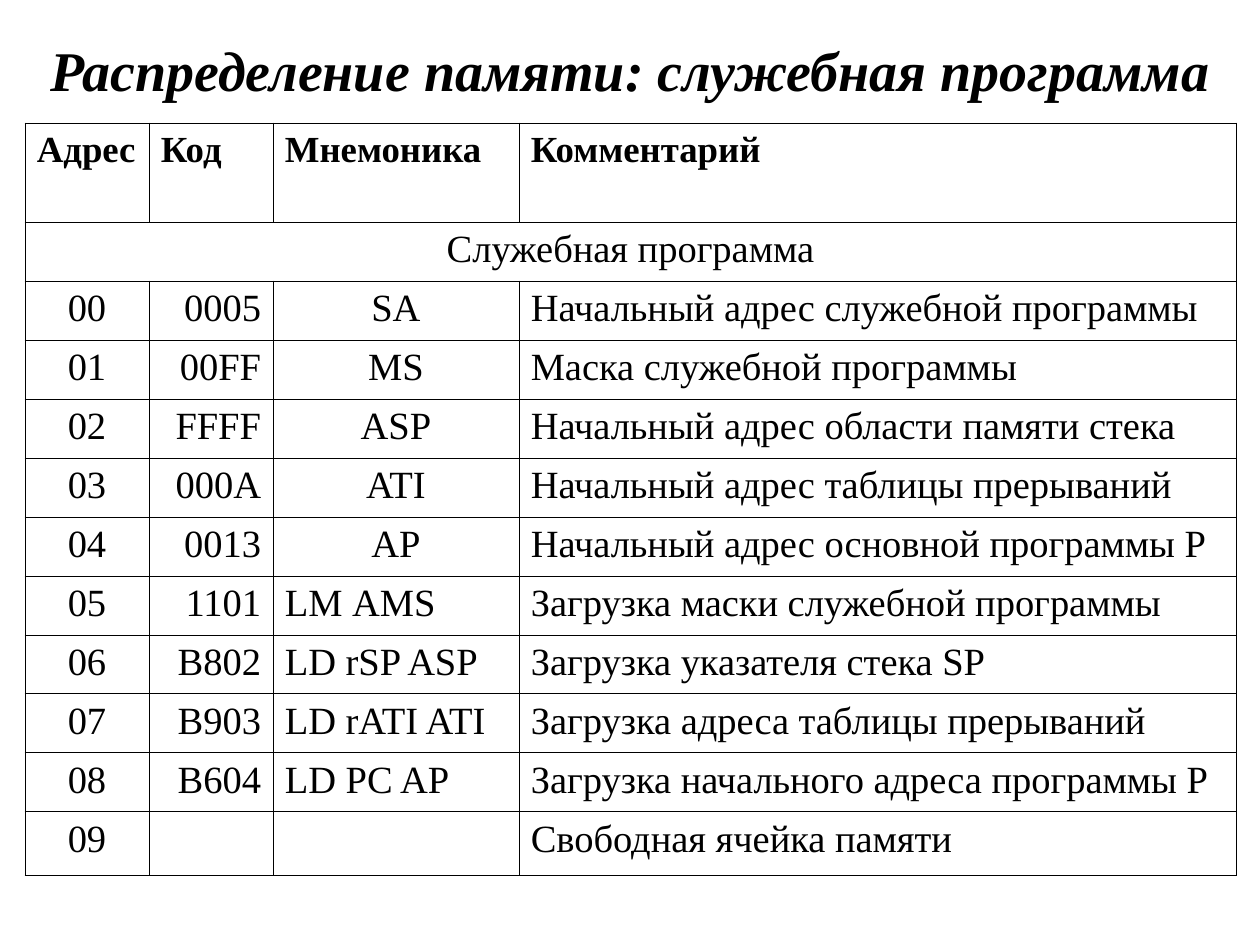
from lxml import etree
from pptx import Presentation
from pptx import util as u
from pptx.dml.color import RGBColor
from pptx.enum import text
from pptx.oxml import ns

PX = u.Inches(1) / 126
FONT = "Times New Roman"
BLACK = "000000"
ALIGN = text.PP_ALIGN
COLUMNS = [124, 124, 246, 717]
HEADER_HEIGHT, ROW_HEIGHT, LAST_HEIGHT = 99, 59, 64
HEADINGS = ["Адрес", "Код", "Мнемоника", "Комментарий"]
SECTION = "Служебная программа"
MEMORY = [
    ("00", "0005", "SA", "Начальный адрес служебной программы"),
    ("01", "00FF", "MS", "Маска служебной программы"),
    ("02", "FFFF", "ASP", "Начальный адрес области памяти стека"),
    ("03", "000A", "ATI", "Начальный адрес таблицы прерываний"),
    ("04", "0013", "AP", "Начальный адрес основной программы P"),
    ("05", "1101", "LM АМS", "Загрузка маски служебной программы"),
    ("06", "B802", "LD rSP ASP", "Загрузка указателя стека SP"),
    ("07", "B903", "LD rATI ATI", "Загрузка адреса таблицы прерываний"),
    ("08", "B604", "LD PC AP", "Загрузка начального адреса программы P"),
    ("09", "", "", "Свободная ячейка памяти"),
]


def px(length):
    return u.Emu(round(length * PX))


def color(value):
    return RGBColor.from_string(value)


def write(frame, content, alignment, **font):
    paragraph = frame.paragraphs[0]
    paragraph.alignment = alignment
    run = paragraph.add_run()
    run.text = content
    for name, value in {"name": FONT, **font}.items():
        setattr(run.font, name, value)
    run.font.color.rgb = color(BLACK)


def add_borders(cell):
    properties = cell._tc.get_or_add_tcPr()
    for index, side in enumerate(("lnL", "lnR", "lnT", "lnB")):
        line = etree.Element(ns.qn(f"a:{side}"), w=str(u.Pt(0.45)))
        fill = etree.SubElement(line, ns.qn("a:solidFill"))
        etree.SubElement(fill, ns.qn("a:srgbClr"), val=BLACK)
        properties.insert(index, line)


def place_title(slide, left, top, width, height):
    title = slide.shapes.title
    box = {"left": left, "top": top, "width": width, "height": height}
    for name, value in box.items():
        setattr(title, name, px(value))
    frame = title.text_frame
    frame.auto_size = text.MSO_AUTO_SIZE.NONE
    frame.vertical_anchor = text.MSO_ANCHOR.MIDDLE
    write(frame, "Распределение памяти: служебная программа", ALIGN.CENTER,
          size=u.Pt(32), bold=True, italic=True)


def place_memory_table(slide, left, top):
    heights = [HEADER_HEIGHT] + [ROW_HEIGHT] * len(MEMORY) + [LAST_HEIGHT]
    table = slide.shapes.add_table(len(heights), len(COLUMNS), px(left), px(top),
                                   px(sum(COLUMNS)), px(sum(heights))).table
    table.first_row = table.horz_banding = False
    for column, width in zip(table.columns, COLUMNS):
        column.width = px(width)
    for row, height in zip(table.rows, heights):
        row.height = px(height)
    for cell in table.iter_cells():
        cell.fill.background()
        cell.margin_left = cell.margin_right = px(12)
        add_borders(cell)

    for column, heading in enumerate(HEADINGS):
        write(table.cell(0, column).text_frame, heading, ALIGN.JUSTIFY,
              size=u.Pt(21), bold=True)
    section = table.cell(1, 0)
    section.merge(table.cell(1, len(COLUMNS) - 1))
    write(section.text_frame, SECTION, ALIGN.CENTER, size=u.Pt(22))
    for row, record in enumerate(MEMORY, start=2):
        # Instructions have operands and align left; plain constants are centred.
        mnemonic = ALIGN.LEFT if " " in record[2] else ALIGN.CENTER
        alignments = [ALIGN.CENTER, ALIGN.RIGHT, mnemonic, ALIGN.JUSTIFY]
        for column, (content, alignment) in enumerate(zip(record, alignments)):
            if content:
                write(table.cell(row, column).text_frame, content, alignment,
                      size=u.Pt(22))


def main():
    presentation = Presentation()
    presentation.slide_width, presentation.slide_height = px(1260), px(945)
    slide = presentation.slides.add_slide(presentation.slide_layouts[5])
    place_title(slide, 25, 21, sum(COLUMNS), 97)
    place_memory_table(slide, 25, 123)
    presentation.save("out.pptx")


if __name__ == "__main__":
    main()
